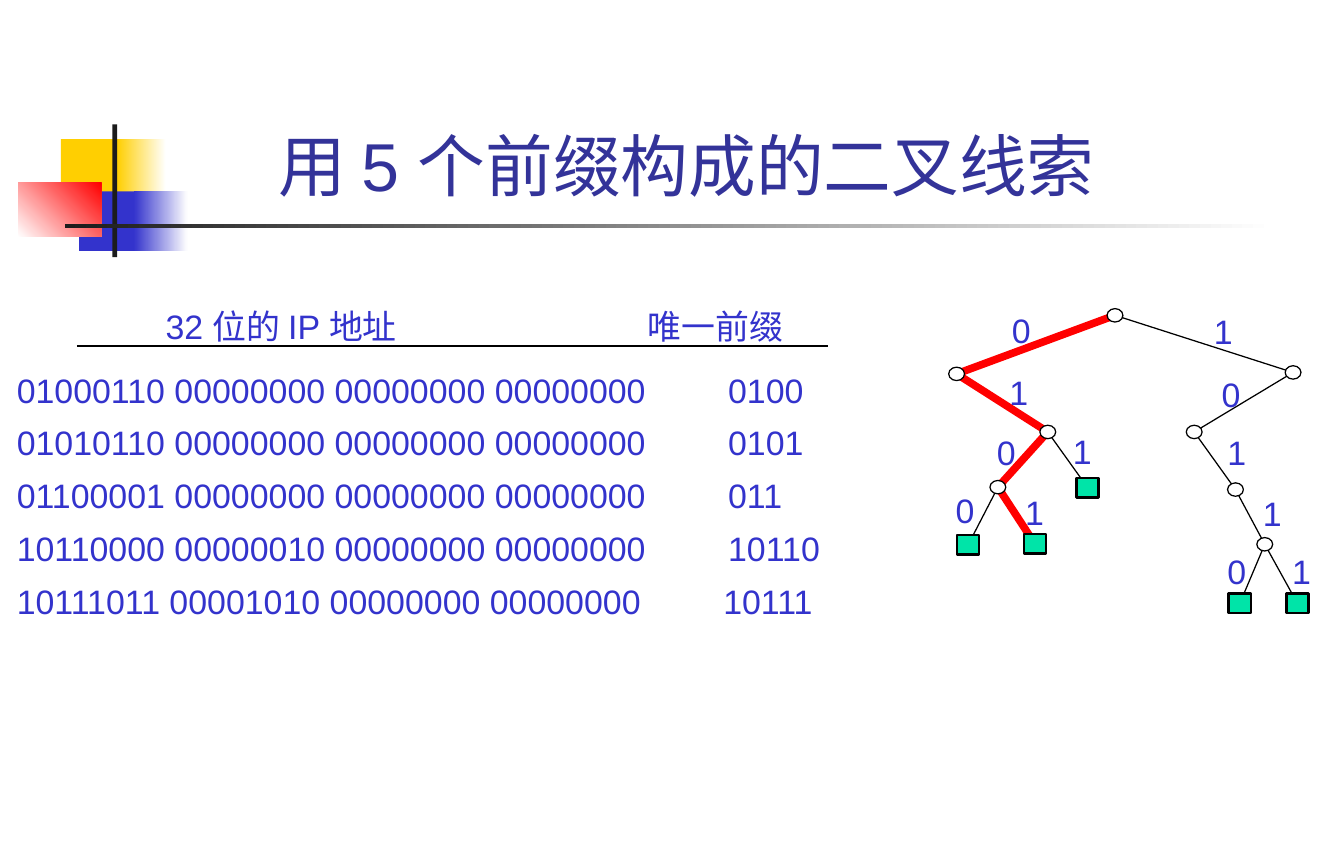
from pptx import Presentation
from pptx.dml.color import RGBColor
from pptx.enum.shapes import MSO_CONNECTOR, MSO_SHAPE
from pptx.enum.text import MSO_ANCHOR, PP_ALIGN
from pptx.oxml.ns import qn
from pptx.util import Cm, Pt
from lxml.etree import SubElement

YELLOW = RGBColor(0xFF, 0xCF, 0x01)
BLUE = RGBColor(0x33, 0x33, 0xCC)
NAVY = RGBColor(0x33, 0x33, 0x99)
RED = RGBColor(0xFF, 0x00, 0x00)
GREEN = RGBColor(0x00, 0xE4, 0xA8)
CHARCOAL = RGBColor(0x1C, 0x1C, 0x1C)
BLACK = RGBColor(0x00, 0x00, 0x00)
WHITE = RGBColor(0xFF, 0xFF, 0xFF)

presentation = Presentation()
presentation.slide_width = Cm(28)
presentation.slide_height = Cm(18)
slide = presentation.slides.add_slide(presentation.slide_layouts[6])
shapes = slide.shapes


def add_text(left, top, width, height, text, size, color, wrap):
    frame = shapes.add_textbox(Cm(left), Cm(top), Cm(width), Cm(height)).text_frame
    frame.word_wrap = wrap
    frame.text = text
    for paragraph in frame.paragraphs:
        for run in paragraph.runs:
            run.font.name = "Arial"
            run.font.size = Pt(size)
            run.font.color.rgb = color
    return frame


def add_line(start, end):
    line = shapes.add_connector(
        MSO_CONNECTOR.STRAIGHT, Cm(start[0]), Cm(start[1]), Cm(end[0]), Cm(end[1]))
    line.line.color.rgb = BLACK
    line.line.width = Pt(0.75)
    SubElement(line._element.spPr, qn("a:effectLst"))


ornaments = [
    (1.27, 2.9, 1.35, 1.24, YELLOW, YELLOW, 0),
    (2.44, 2.9, 1.02, 1.24, YELLOW, WHITE, 0),
    (1.65, 3.99, 1.3, 1.24, BLUE, BLUE, 0),
    (2.79, 3.99, 1.12, 1.24, BLUE, WHITE, 0),
    (0.38, 3.81, 1.73, 1.12, WHITE, RED, 45),
    (2.34, 2.59, 0.1, 2.77, CHARCOAL, CHARCOAL, 0),
    (1.35, 4.67, 25.2, 0.08, CHARCOAL, WHITE, 0),
]
for left, top, width, height, first, last, angle in ornaments:
    ornament = shapes.add_shape(
        MSO_SHAPE.RECTANGLE, Cm(left), Cm(top), Cm(width), Cm(height))
    ornament.shadow.inherit = False
    ornament.line.fill.background()
    if first == last:
        ornament.fill.solid()
        ornament.fill.fore_color.rgb = first
    else:
        ornament.fill.gradient()
        ornament.fill.gradient_angle = angle
        for stop, color in zip(ornament.fill.gradient_stops, (first, last)):
            stop.color.rgb = color

title = add_text(3.33, 0.56, 21.95, 3.84, "用 5 个前缀构成的二叉线索", 40, NAVY, True)
title.vertical_anchor = MSO_ANCHOR.BOTTOM
title.paragraphs[0].alignment = PP_ALIGN.CENTER

address_rows = [
    ("\t32 位的 IP 地址\t唯一前缀", (3.1, 13.15)),
    ("01000110 00000000 00000000 00000000\t0100", (14.82,)),
    ("01010110 00000000 00000000 00000000\t0101", (14.82,)),
    ("01100001 00000000 00000000 00000000\t011", (14.82,)),
    ("10110000 00000010 00000000 00000000\t10110", (14.82,)),
    ("10111011 00001010 00000000 00000000\t10111", (14.72,)),
]
addresses = add_text(0.1, 6.25, 18.06, 7.77,
                     "\n".join(text for text, stops in address_rows), 20, BLUE, True)
for paragraph, (text, stops) in zip(addresses.paragraphs, address_rows):
    tab_list = SubElement(paragraph._p.get_or_add_pPr(), qn("a:tabLst"))
    for position in stops:
        SubElement(tab_list, qn("a:tab"), pos=str(Cm(position)), algn="l")
    paragraph.line_spacing = Pt(31.3)
addresses.paragraphs[0].line_spacing = 1.0
addresses.paragraphs[0].space_after = Pt(6)
add_line((1.6, 7.21), (17.25, 7.21))

nodes = {
    "": (23.23, 6.57),
    "0": (19.93, 7.79),
    "01": (21.83, 9),
    "010": (20.79, 10.15),
    "0100": (20.17, 11.35),
    "0101": (21.56, 11.33),
    "011": (22.66, 10.16),
    "1": (26.94, 7.76),
    "10": (24.88, 9),
    "101": (25.74, 10.2),
    "1011": (26.35, 11.34),
    "10110": (25.83, 12.57),
    "10111": (27.03, 12.57),
}
bit_labels = {
    "0": (20.83, 6.32),
    "01": (20.78, 7.62),
    "010": (20.52, 8.86),
    "0100": (19.66, 10.08),
    "0101": (21.11, 10.11),
    "011": (22.1, 8.84),
    "1": (25.04, 6.35),
    "10": (25.2, 7.65),
    "101": (25.32, 8.86),
    "1011": (26.06, 10.13),
    "10110": (25.32, 11.35),
    "10111": (26.67, 11.35),
}
leaves = ("0100", "0101", "011", "10110", "10111")

for prefix, color, weight in (("10111", BLACK, 0.75), ("0101", RED, 4.5)):
    points = [tuple(Cm(value) for value in nodes[prefix[:depth]])
              for depth in range(len(prefix) + 1)]
    builder = shapes.build_freeform(*points[0])
    builder.add_line_segments(points[1:], close=False)
    trail = builder.convert_to_shape()
    trail.shadow.inherit = False
    trail.fill.background()
    trail.line.color.rgb = color
    trail.line.width = Pt(weight)

for prefix in ("0100", "011", "10110"):
    add_line(nodes[prefix[:-1]], nodes[prefix])

for prefix, (left, top) in bit_labels.items():
    add_text(left, top, 0.94, 1.12, prefix[-1], 20, BLUE, False)

for prefix, (x, y) in nodes.items():
    if prefix in leaves:
        kind, width, height, color, weight = MSO_SHAPE.RECTANGLE, 0.46, 0.41, GREEN, 1.5
    else:
        kind, width, height, color, weight = MSO_SHAPE.OVAL, 0.33, 0.28, WHITE, 0.75
    node = shapes.add_shape(
        kind, Cm(x - width / 2), Cm(y - height / 2), Cm(width), Cm(height))
    node.shadow.inherit = False
    node.fill.solid()
    node.fill.fore_color.rgb = color
    node.line.color.rgb = BLACK
    node.line.width = Pt(weight)

presentation.save("out.pptx")
